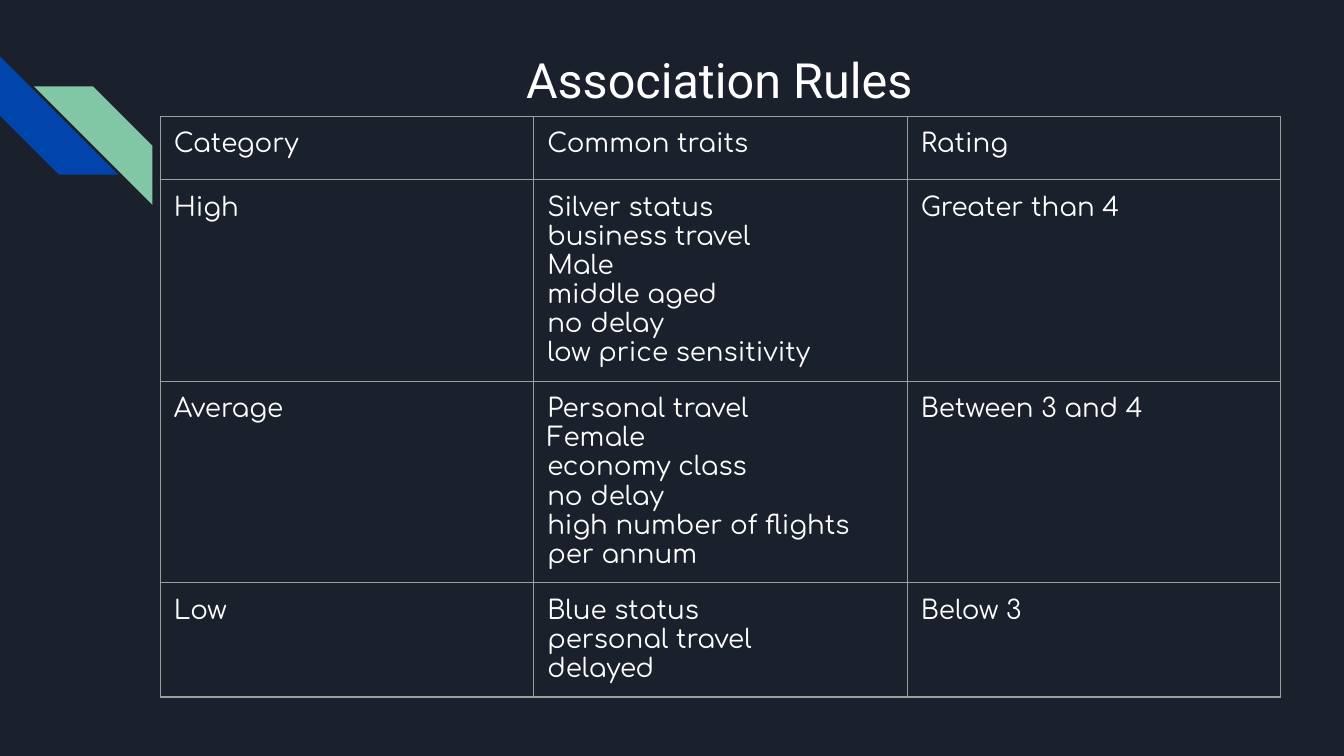
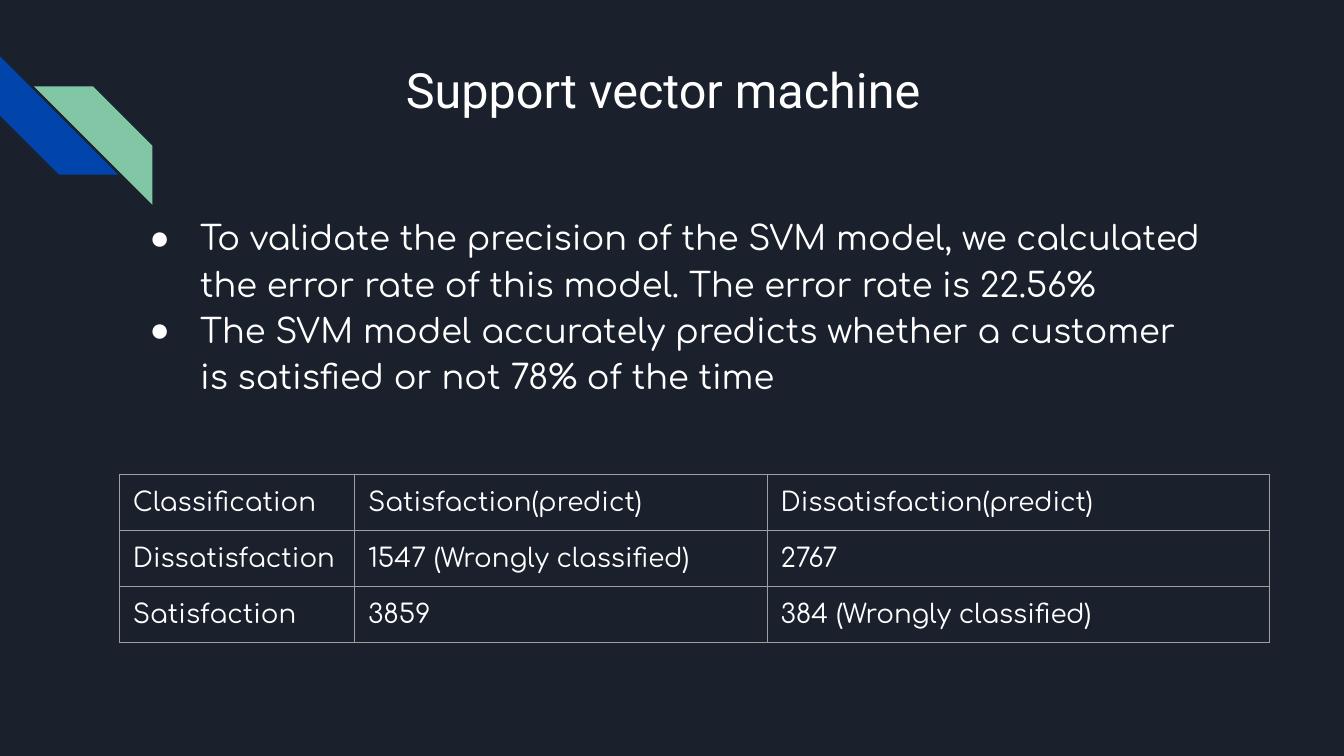
from dataclasses import dataclass

from lxml.etree import SubElement
from pptx import Presentation
from pptx.dml.color import RGBColor
from pptx.enum.shapes import MSO_SHAPE
from pptx.enum.text import MSO_ANCHOR, MSO_AUTO_SIZE, PP_ALIGN
from pptx.oxml.ns import qn
from pptx.util import Pt


@dataclass(frozen=True)
class Theme:
    background: str = "1B212C"
    blue: str = "0145AC"
    green: str = "82C7A5"
    text: str = "FFFFFF"
    border: str = "9E9E9E"
    title_font: str = "Roboto"
    body_font: str = "Comfortaa"
    title_size: int = 26
    list_size: int = 18
    table_size: int = 14
    inset: float = 7.2


theme = Theme()

association_rows = [
    ["Category", "Common traits", "Rating"],
    ["High", "Silver status\nbusiness travel\nMale\nmiddle aged\nno delay\nlow price sensitivity",
     "Greater than 4"],
    ["Average", "Personal travel\nFemale\neconomy class\nno delay\nhigh number of flights per annum",
     "Between 3 and 4"],
    ["Low", "Blue status\npersonal travel\ndelayed", "Below 3"],
]
confusion_rows = [
    ["Classification", "Satisfaction(predict)", "Dissatisfaction(predict)"],
    ["Dissatisfaction", "1547 (Wrongly classified)", "2767"],
    ["Satisfaction", "3859", "384 (Wrongly classified)"],
]
findings = [
    "To validate the precision of the SVM model, we calculated the error rate of this model. "
    "The error rate is 22.56%",
    "The SVM model accurately predicts whether a customer is satisfied or not 78% of the time",
]

# layout number, title, title frame, space above title, table place, columns, rows, cells
pages = [
    (5, "Association Rules", (161, 18, 449, 71), 9,
     (85.9, 62.3), [200.1] * 3, [34, 88, 88, 52], association_rows),
    (1, "Support vector machine", (83, 0, 545, 86), 32,
     (64, 254.3), [126, 221, 269], [30] * 3, confusion_rows),
]


def format_frame(frame, font_name, size, top=theme.inset):
    frame.word_wrap = True
    frame.auto_size = MSO_AUTO_SIZE.NONE
    frame.vertical_anchor = MSO_ANCHOR.TOP
    frame.margin_left = frame.margin_right = frame.margin_bottom = Pt(theme.inset)
    frame.margin_top = Pt(top)
    format_runs(frame, font_name, size)


def format_runs(frame, font_name, size):
    for para in frame.paragraphs:
        for span in para.runs:
            span.font.name = font_name
            span.font.size = Pt(size)
            span.font.color.rgb = RGBColor.from_string(theme.text)


deck = Presentation()
deck.slide_width, deck.slide_height = Pt(720), Pt(405)
master = deck.slide_master
master.background.fill.solid()
master.background.fill.fore_color.rgb = RGBColor.from_string(theme.background)

for layout, heading, title_frame, title_top, place, widths, heights, rows in pages:
    page = deck.slides.add_slide(deck.slide_layouts[layout])

    title = page.shapes.title
    title.left, title.top, title.width, title.height = map(Pt, title_frame)
    title.text_frame.text = heading
    title.text_frame.paragraphs[0].alignment = PP_ALIGN.CENTER
    format_frame(title.text_frame, theme.title_font, theme.title_size, title_top)

    frame = page.shapes.add_table(len(rows), len(widths), Pt(place[0]), Pt(place[1]),
                                  Pt(sum(widths)), Pt(sum(heights)))
    table = frame.table
    table.first_row = table.horz_banding = False
    for column, width in zip(table.columns, widths):
        column.width = Pt(width)
    for row, height, texts in zip(table.rows, heights, rows):
        row.height = Pt(height)
        for cell, text in zip(row.cells, texts):
            cell.text_frame.text = text
            format_runs(cell.text_frame, theme.body_font, theme.table_size)
            cell.margin_left = cell.margin_right = Pt(theme.inset)
            cell.margin_top = cell.margin_bottom = Pt(theme.inset)
            properties = cell._tc.get_or_add_tcPr()
            for side in ("a:lnL", "a:lnR", "a:lnT", "a:lnB"):
                line = SubElement(properties, qn(side), w=str(Pt(0.75)))
                fill = SubElement(line, qn("a:solidFill"))
                SubElement(fill, qn("a:srgbClr"), val=theme.border)
            cell.fill.background()

# The list of the second slide
body = page.placeholders[1]
body.left, body.top, body.width, body.height = Pt(64), Pt(106), Pt(593), Pt(259)
body.text_frame.text = "\n".join(findings)
format_frame(body.text_frame, theme.body_font, theme.list_size)
for para in body.text_frame.paragraphs:
    para.line_spacing = 1.15
    para.space_before = Pt(0)
    properties = para._p.get_or_add_pPr()
    properties.set("marL", str(Pt(36)))
    properties.set("indent", str(-Pt(27)))
    bullet_color = SubElement(properties, qn("a:buClr"))
    SubElement(bullet_color, qn("a:srgbClr"), val=theme.text)
    SubElement(properties, qn("a:buChar"), char="●")

# Corner stripes are made on a slide, then moved to the master that all slides share
for left, top, color, rotation, flipped in [(0, 30.2, theme.blue, 270, False),
                                            (18.2, 46.3, theme.green, 0, True)]:
    stripe = page.shapes.add_shape(MSO_SHAPE.DIAGONAL_STRIPE, Pt(left), Pt(top), Pt(63.4), Pt(63.4))
    stripe.adjustments[0] = 0.5
    stripe.rotation = rotation
    stripe.shadow.inherit = False
    stripe.fill.solid()
    stripe.fill.fore_color.rgb = RGBColor.from_string(color)
    stripe.line.fill.background()
    if flipped:
        stripe.element.spPr.find(qn("a:xfrm")).set("flipH", "1")
    stripe.element.nvSpPr.cNvPr.set("id", str(100 + rotation))
    master.shapes.element.append(stripe.element)

deck.save("out.pptx")
